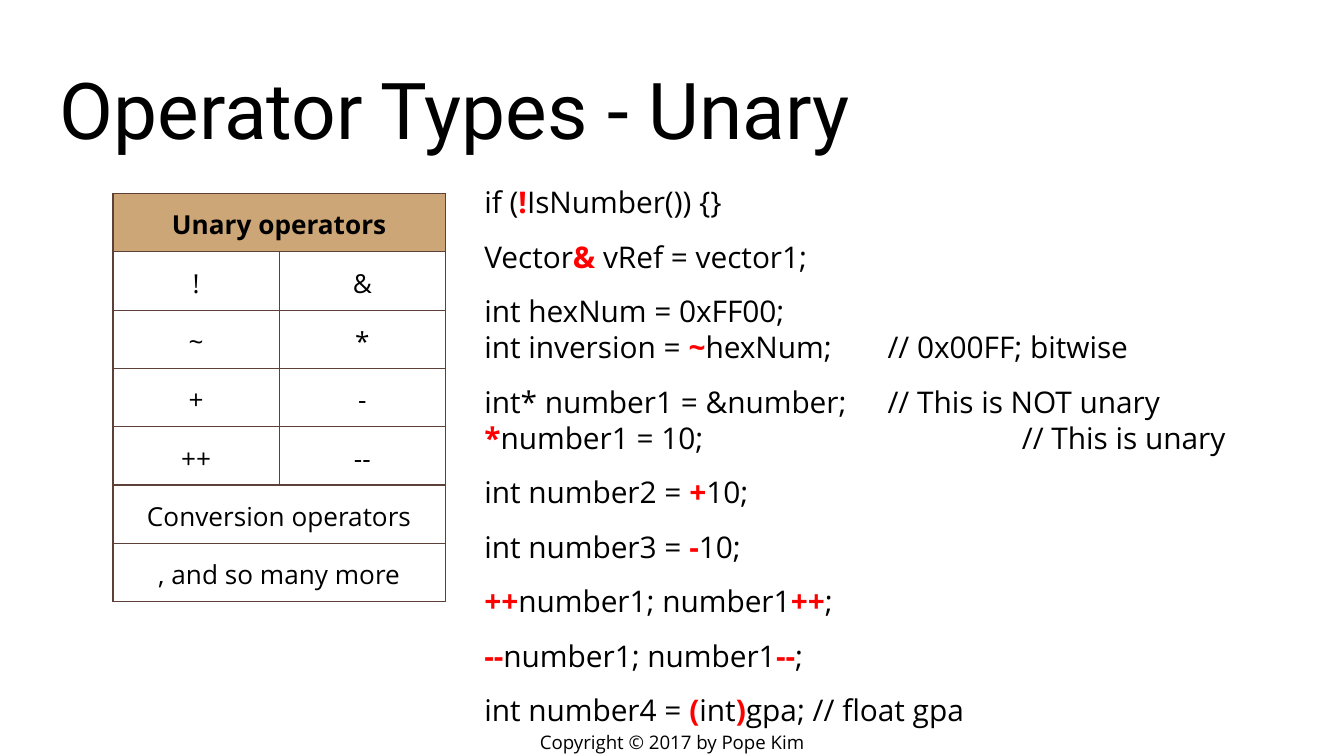
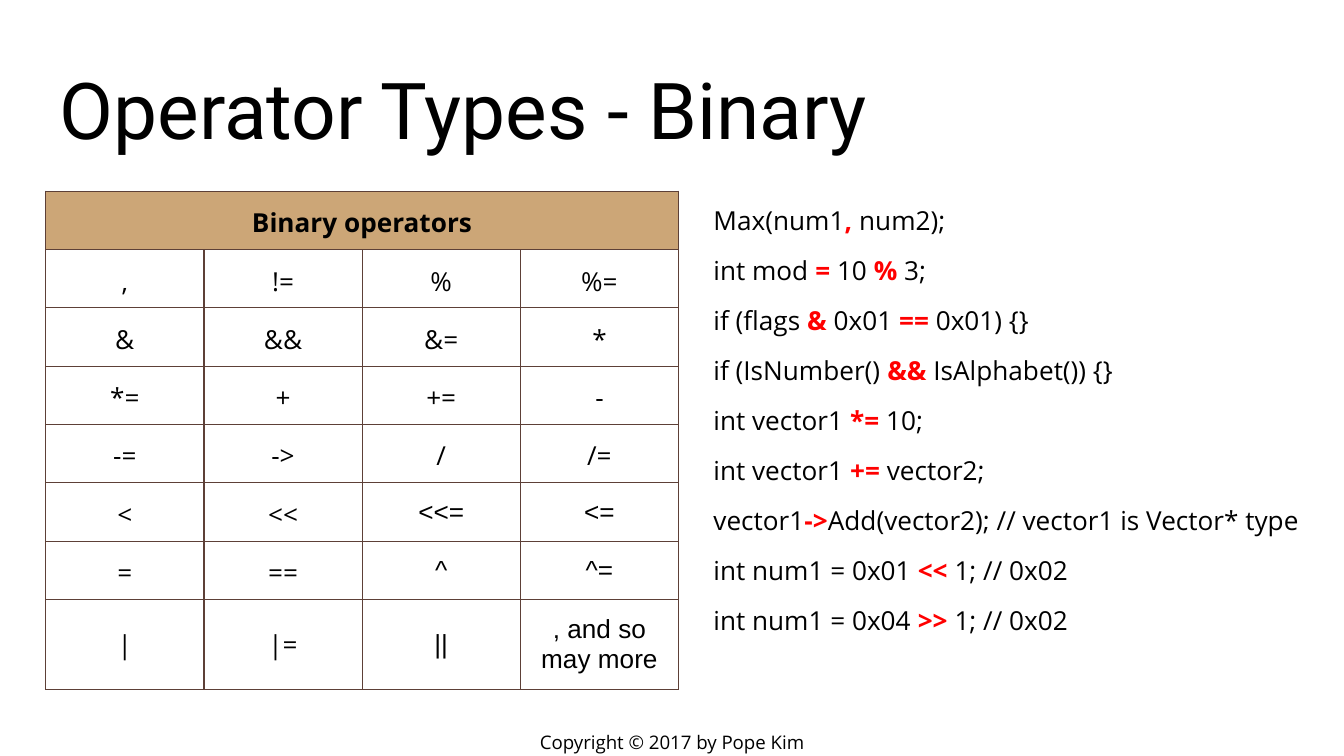
from dataclasses import dataclass

from lxml import etree
from pptx import Presentation, util as u
from pptx.dml.color import RGBColor
from pptx.enum import text as t
from pptx.oxml import ns


@dataclass(frozen=True)
class Theme:
    """Colours, fonts and sizes shared by the slides."""
    ink: str = "000000"
    mark: str = "FF0000"
    head: str = "CCA677"
    rule: str = "5D4037"
    face: str = "Open Sans"
    plain: str = "Arial"
    display: str = "Roboto"
    title: int = 42
    code: int = 16
    small: int = 14
    foot: int = 10
    inset: float = 0.1
    line: float = 0.75
    gap: int = 10


TH = Theme()
WIDE = u.Inches(10)
HIGH = u.Emu(WIDE * 9 // 16)
TITLE = (3.45, 6.15, 93.2, 16.18)
FOOT = (37.65, 96.25, 24.7, 3.74)
TABS = (1, 2, 3, 4)

UNARY = [
    ["Unary operators"], ["!", "&"], ["~", "*"], ["+", "-"], ["++", "--"],
    ["Conversion operators"], [", and so many more"],
]
BINARY = [
    ["Binary operators"],
    [",", "!=", "%", "%="],
    ["&", "&&", "&=", "*"],
    ["*=", "+", "+=", "-"],
    ["-=", "->", "/", "/="],
    ["<", "<<", "<<=", "<="],
    ["=", "==", "^", "^="],
    ["|", "|=", "||", ", and so may more"],
]
PLAIN = {"<<=", "<=", "^", "^=", "||", ", and so may more"}

UNARY_CODE = [
    "if (`!`IsNumber()) {}",
    "Vector`&` vRef = vector1;",
    "int hexNum = 0xFF00;\nint inversion = `~`hexNum; \t// 0x00FF; bitwise",
    "int* number1 = &number; \t// This is NOT unary\n"
    "`*`number1 = 10;\t\t\t// This is unary",
    "int number2 = `+`10;",
    "int number3 = `-`10;",
    "`++`number1; number1`++`;",
    "`--`number1; number1`--`;",
    "int number4 = `(`int`)`gpa; // float gpa",
]
BINARY_CODE = [
    "Max(num1`,` num2);",
    "int mod `=` 10 `%` 3;",
    "if (flags `&` 0x01 `==` 0x01) {}",
    "if (IsNumber() `&&` IsAlphabet()) {}",
    "int vector1 `*=` 10;",
    "int vector1 `+=` vector2;",
    "vector1`->`Add(vector2); // vector1 is Vector* type",
    "int num1 = 0x01 `<<` 1; // 0x02",
    "int num1 = 0x04 `>>` 1; // 0x02",
]


def place(box):
    """Turn percentages of the slide into lengths."""
    return [int(part * side / 100) for part, side in zip(box, (WIDE, HIGH) * 2)]


def add_run(para, words, size, face=TH.face, bold=False, tint=TH.ink):
    """Add one styled run to a paragraph."""
    run = para.add_run()
    run.text = words
    font = run.font
    font.size, font.name, font.bold = u.Pt(size), face, bold
    font.color.rgb = RGBColor.from_string(tint)


def set_inset(part):
    """Give a frame or cell the same margin on every side."""
    part.margin_left = part.margin_right = u.Inches(TH.inset)
    part.margin_top = part.margin_bottom = u.Inches(TH.inset)


def add_frame(slide, box, anchor):
    """Add a wrapping text box and return its frame."""
    frame = slide.shapes.add_textbox(*place(box)).text_frame
    frame.word_wrap = True
    frame.vertical_anchor = anchor
    set_inset(frame)
    return frame


def add_title(slide, words):
    """Write the slide title."""
    frame = add_frame(slide, TITLE, t.MSO_ANCHOR.BOTTOM)
    add_run(frame.paragraphs[0], words, TH.title, TH.display)


def add_foot(slide):
    """Write the copyright line."""
    para = add_frame(slide, FOOT, t.MSO_ANCHOR.MIDDLE).paragraphs[0]
    para.alignment = t.PP_ALIGN.CENTER
    add_run(para, "Copyright © 2017 by Pope Kim", TH.foot)


def add_tabs(para):
    """Set tab stops an inch apart."""
    stops = etree.SubElement(para._p.get_or_add_pPr(), ns.qn("a:tabLst"))
    for stop in TABS:
        etree.SubElement(stops, ns.qn("a:tab"), pos=str(u.Inches(stop)), algn="l")


def add_code(slide, box, items, size):
    """List code samples, with the parts between backticks highlighted."""
    frame = add_frame(slide, box, t.MSO_ANCHOR.TOP)
    for num, item in enumerate(items):
        para = frame.add_paragraph() if num else frame.paragraphs[0]
        if "\t" in item:
            add_tabs(para)
        para.space_after = u.Pt(TH.gap)
        for row, line in enumerate(item.split("\n")):
            if row:
                para.add_line_break()
            for pos, part in enumerate(line.split("`")):
                hot = pos % 2 == 1
                if part:
                    add_run(para, part, size, bold=hot, tint=TH.mark if hot else TH.ink)


def add_edges(cell):
    """Draw the four borders of a cell."""
    props = cell._tc.get_or_add_tcPr()
    for spot, side in enumerate(("lnL", "lnR", "lnT", "lnB")):
        edge = etree.Element(ns.qn(f"a:{side}"), w=str(u.Pt(TH.line)))
        fill = etree.SubElement(edge, ns.qn("a:solidFill"))
        etree.SubElement(fill, ns.qn("a:srgbClr"), val=TH.rule)
        props.insert(spot, edge)


def add_grid(slide, box, rows):
    """Draw an operator table; a row of one entry spans every column."""
    cols = max(map(len, rows))
    grid = slide.shapes.add_table(len(rows), cols, *place(box)).table
    for y, row in enumerate(rows):
        for x in range(cols):
            cell = grid.cell(y, x)
            set_inset(cell)
            cell.vertical_anchor = t.MSO_ANCHOR.MIDDLE
            if y:
                cell.fill.background()
            else:
                cell.fill.solid()
                cell.fill.fore_color.rgb = RGBColor.from_string(TH.head)
            add_edges(cell)
        if len(row) == 1:
            grid.cell(y, 0).merge(grid.cell(y, cols - 1))
        for x, words in enumerate(row):
            para = grid.cell(y, x).text_frame.paragraphs[0]
            para.alignment = t.PP_ALIGN.CENTER
            face = TH.plain if words in PLAIN else TH.face
            add_run(para, words, TH.small, face, bold=y == 0)


def add_page(deck, title, rows, area, items, side, size):
    """Build a slide with a table beside its code samples."""
    slide = deck.slides.add_slide(deck.slide_layouts[6])
    add_foot(slide)
    add_title(slide, title)
    add_grid(slide, area, rows)
    add_code(slide, side, items, size)


def main():
    """Build and save the deck."""
    deck = Presentation()
    deck.slide_width, deck.slide_height = WIDE, HIGH
    add_page(deck, "Operator Types - Unary", UNARY, (8.4, 25.6, 24.75, 53.5),
             UNARY_CODE, (35.05, 22.58, 61.5, 75.4), TH.code)
    add_page(deck, "Operator Types - Binary", BINARY, (3.4, 25.3, 47.1, 61.2),
             BINARY_CODE, (52.1, 25.25, 46.5, 70.8), TH.small)
    deck.save("out.pptx")


if __name__ == "__main__":
    main()
